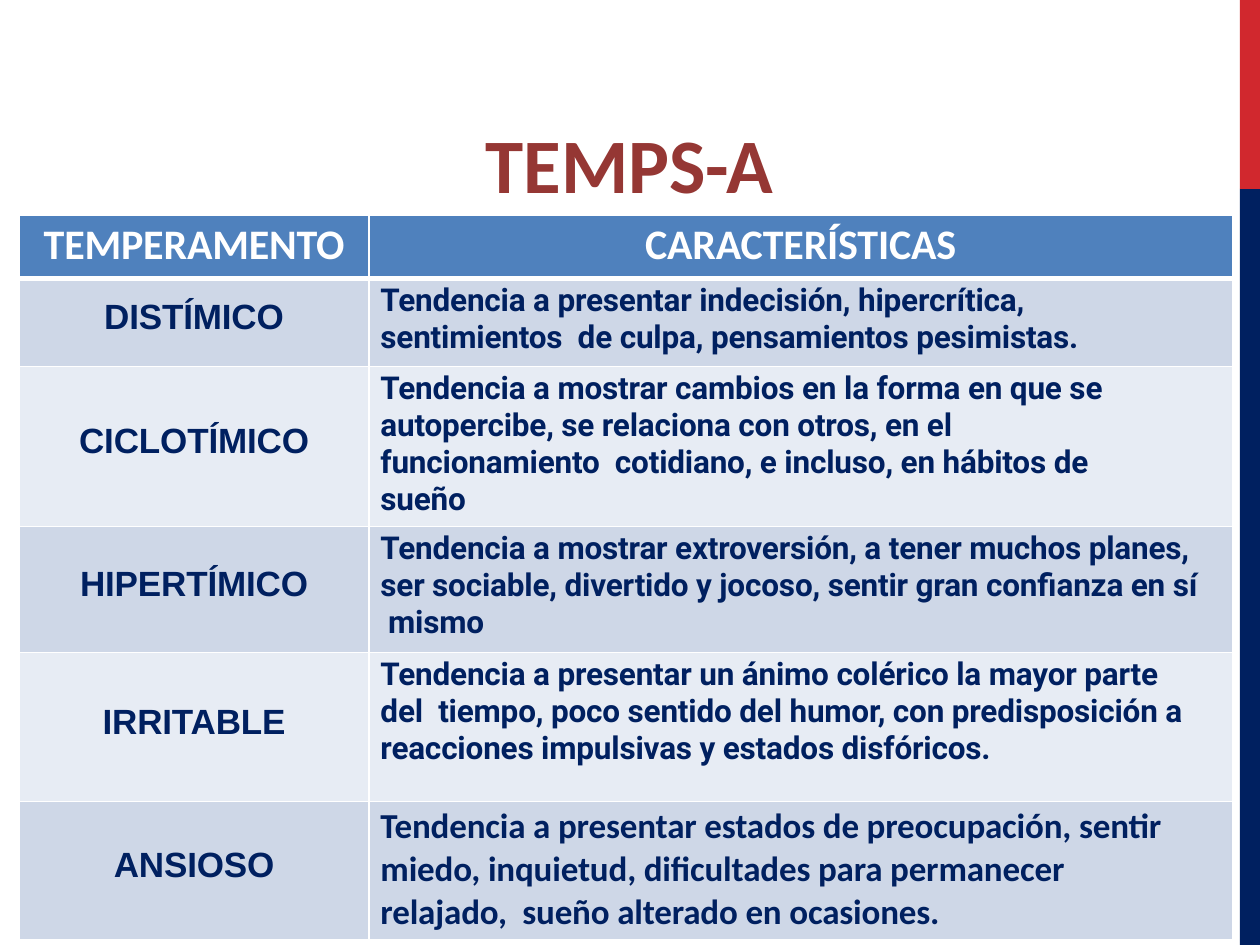
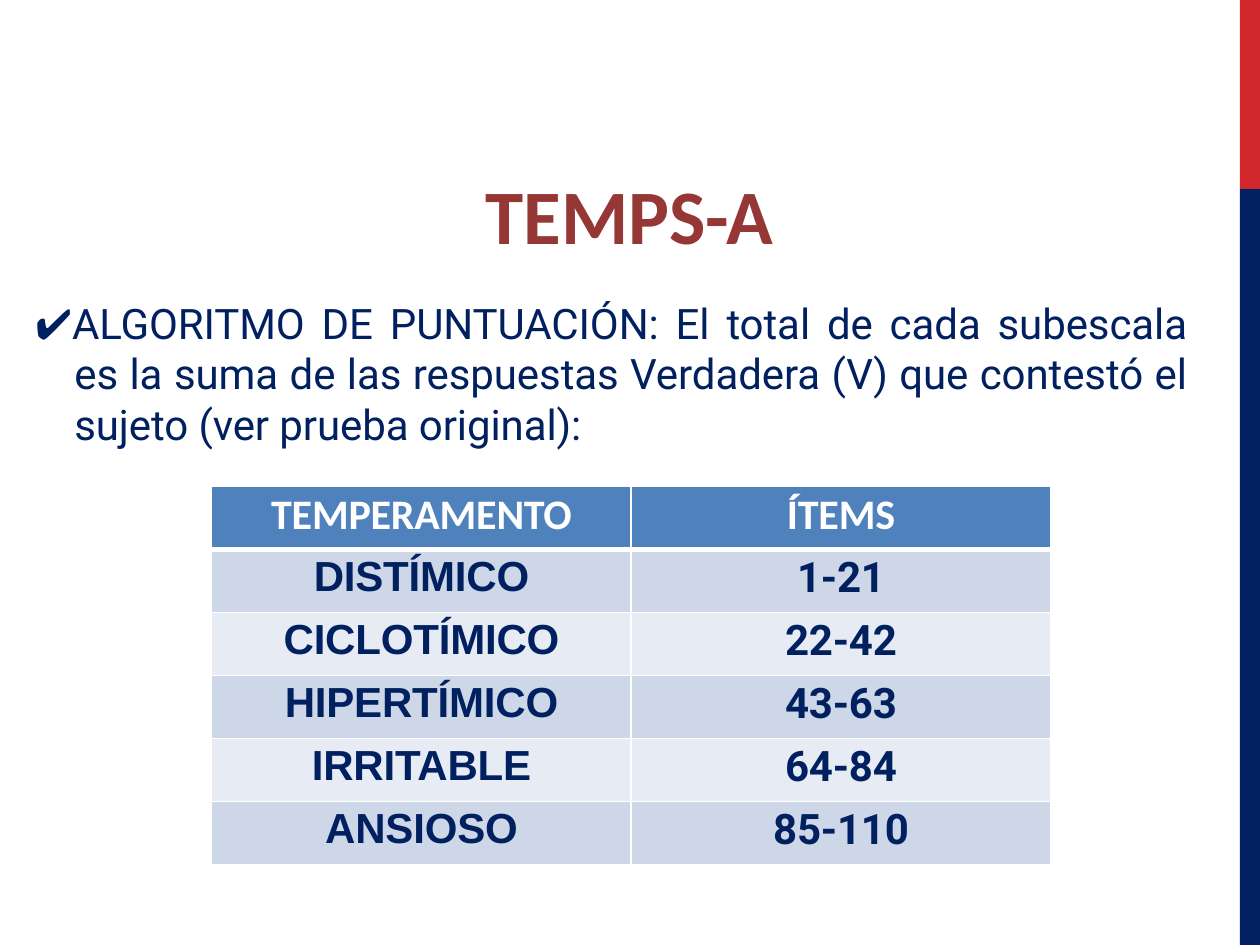
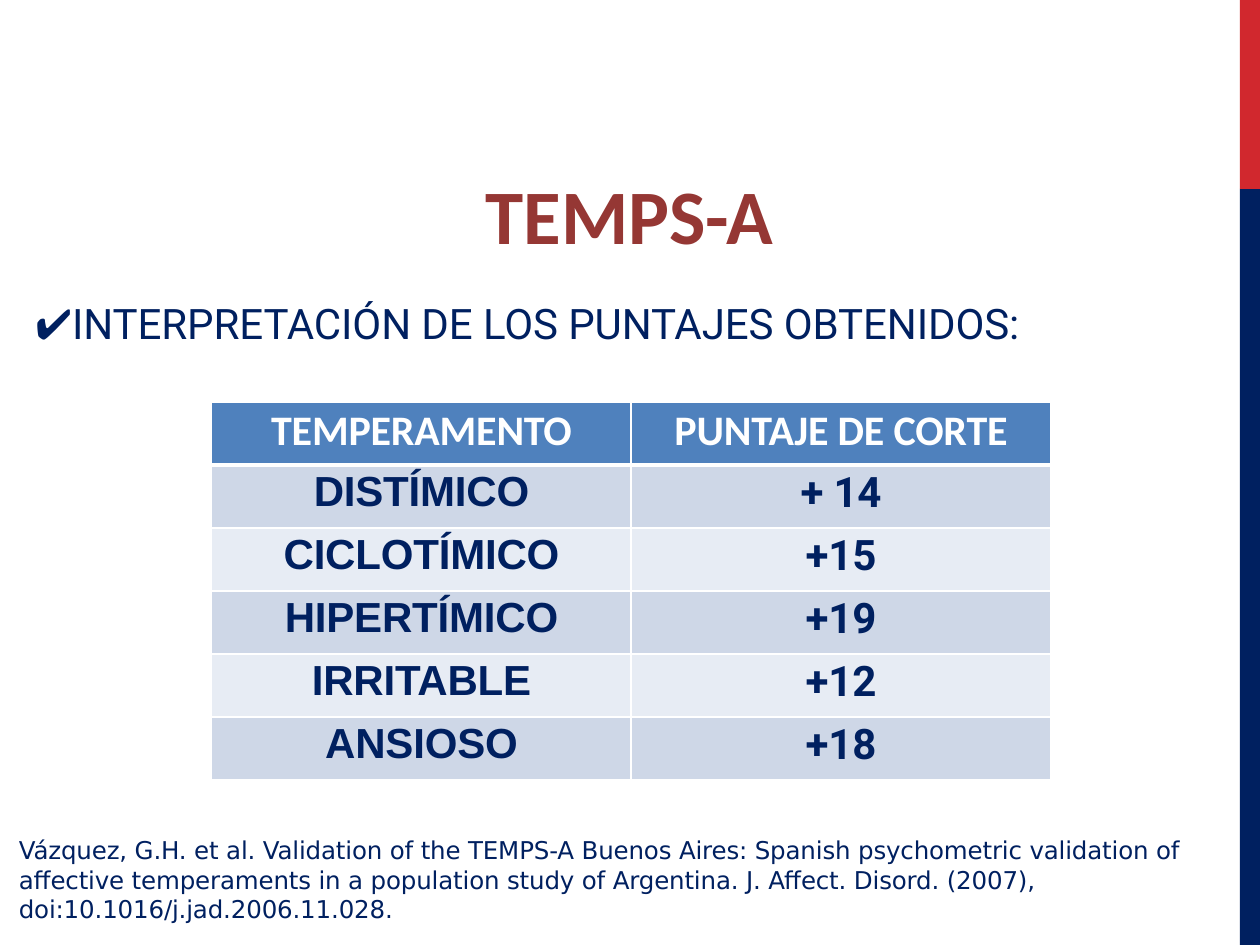
"""Builds three slides on the TEMPS-A temperament scale."""
from lxml import etree
from pptx import Presentation
from pptx.dml.color import RGBColor
from pptx.enum.shapes import MSO_SHAPE
from pptx.enum.text import MSO_ANCHOR, MSO_AUTO_SIZE, PP_ALIGN
from pptx.oxml.ns import qn
from pptx.util import Inches, Pt

RECTANGLE = MSO_SHAPE.RECTANGLE
TOP, MIDDLE, BOTTOM = MSO_ANCHOR.TOP, MSO_ANCHOR.MIDDLE, MSO_ANCHOR.BOTTOM
LEFT, CENTER, JUSTIFY = PP_ALIGN.LEFT, PP_ALIGN.CENTER, PP_ALIGN.JUSTIFY
NO_AUTOFIT = MSO_AUTO_SIZE.NONE

NAVY = RGBColor(0x00, 0x20, 0x60)
RED = RGBColor(0xD1, 0x28, 0x2E)
MAROON = RGBColor(0x95, 0x37, 0x34)
WHITE = RGBColor(0xFF, 0xFF, 0xFF)
HEADER_BLUE = RGBColor(0x4F, 0x81, 0xBD)
ROW_FILLS = (RGBColor(0xCE, 0xD7, 0xE7), RGBColor(0xE7, 0xEC, 0xF4))

TITLE = "TEMPS-A"
BANDS = [(0, 1.5, RED), (1.5, 6, NAVY)]
TEMPERAMENTS = ["DISTÍMICO", "CICLOTÍMICO", "HIPERTÍMICO", "IRRITABLE", "ANSIOSO"]

TRAITS = [
    "Tendencia a presentar indecisión, hipercrítica, sentimientos  de culpa, "
    "pensamientos pesimistas.",
    "Tendencia a mostrar cambios en la forma en que se autopercibe, se relaciona con "
    "otros, en el funcionamiento  cotidiano, e incluso, en hábitos de sueño",
    "Tendencia a mostrar extroversión, a tener muchos planes, ser sociable, divertido "
    "y jocoso, sentir gran confianza en sí  mismo",
    "Tendencia a presentar un ánimo colérico la mayor parte del  tiempo, poco sentido "
    "del humor, con predisposición a reacciones impulsivas y estados disfóricos.",
    "Tendencia a presentar estados de preocupación, sentir miedo, inquietud, "
    "dificultades para permanecer relajado,  sueño alterado en ocasiones.",
]
TRAIT_FONTS = [("Roboto", 18)] * 4 + [("Calibri", 20)]
TRAIT_RIGHT_MARGINS = [0.3, 0.6, 0.25, 0.25, 0.4]
TRAIT_ROW_HEIGHTS = [0.5, 0.7, 1.27, 1, 1.18, 1.1]

ITEMS = ["1-21", "22-42", "43-63", "64-84", "85-110"]
CUTOFFS = ["+ 14", "+15", "+19", "+12", "+18"]
SCORING = ("ALGORITMO DE PUNTUACIÓN: El total de cada subescala es la suma de las "
           "respuestas Verdadera (V) que contestó el sujeto (ver prueba original):")
INTERPRETATION = "INTERPRETACIÓN DE LOS PUNTAJES OBTENIDOS:"
REFERENCE = ("Vázquez, G.H. et al. Validation of the TEMPS-A Buenos Aires: Spanish "
             "psychometric validation of affective temperaments in a population study "
             "of Argentina. J. Affect. Disord. (2007), doi:10.1016/j.jad.2006.11.028.")


def style_paragraph(paragraph, font, size, color, bold=False, align=LEFT, before=1):
    paragraph.alignment = align
    paragraph.space_before = Pt(before)
    paragraph.font.name = font
    paragraph.font.size = Pt(size)
    paragraph.font.color.rgb = color
    paragraph.font.bold = bold
    for run in paragraph.runs:
        run.font._element.set("spc", "-10")


def set_margins(holder, left=0, top=0.01, right=0, bottom=0):
    holder.margin_left, holder.margin_top = Inches(left), Inches(top)
    holder.margin_right, holder.margin_bottom = Inches(right), Inches(bottom)


def add_bands(master, slide):
    for top, height, color in BANDS:
        band = slide.shapes.add_shape(
            RECTANGLE, Inches(9.84), Inches(top), Inches(0.16), Inches(height))
        band.shadow.inherit = False
        band.fill.solid()
        band.fill.fore_color.rgb = color
        band.line.fill.background()
        master.shapes.element.insert(2, band.element)


def add_slide(prs, title_top):
    slide = prs.slides.add_slide(prs.slide_layouts[5])
    title = slide.shapes.title
    title.left, title.top = Inches(3.83), Inches(title_top)
    title.width, title.height = Inches(2.33), Inches(0.76)
    frame = title.text_frame
    frame.text = TITLE
    frame.auto_size = NO_AUTOFIT
    frame.word_wrap = False
    frame.vertical_anchor = BOTTOM
    set_margins(frame)
    style_paragraph(frame.paragraphs[0], "Calibri", 44, MAROON, True, CENTER)
    return slide


def add_text(slide, box, text, font, size, align=LEFT):
    frame = slide.shapes.add_textbox(*map(Inches, box)).text_frame
    frame.word_wrap = True
    set_margins(frame)
    paragraph = frame.paragraphs[0]
    paragraph.add_run().text = text
    style_paragraph(paragraph, font, size, NAVY, align=align)
    return paragraph


def add_checked_text(slide, width, height, text, align=LEFT):
    paragraph = add_text(slide, (0.27, 2.35, width, height), "✔", "Roboto", 24, align)
    paragraph.runs[0].font.name = "Karla"
    paragraph.add_run().text = text
    paragraph.runs[1].font._element.set("spc", "-6")
    properties = paragraph._p.get_or_add_pPr()
    properties.set("marL", str(Inches(0.32)))
    properties.set("indent", str(Inches(-0.31)))


def set_borders(cell, top, bottom):
    properties = cell._tc.get_or_add_tcPr()
    for side, width in (("L", 1), ("R", 1), ("T", top), ("B", bottom)):
        line = etree.SubElement(properties, qn(f"a:ln{side}"), w=str(Pt(width)))
        fill = etree.SubElement(line, qn("a:solidFill"))
        etree.SubElement(fill, qn("a:srgbClr"), val=str(WHITE))


def write_cell(cell, row, text, font, size, align=CENTER, anchor=TOP, before=2, **margins):
    set_borders(cell, 3 if row == 1 else 1, 3 if row == 0 else 1)
    cell.fill.solid()
    cell.fill.fore_color.rgb = ROW_FILLS[(row - 1) % 2] if row else HEADER_BLUE
    cell.text = text
    cell.vertical_anchor = anchor
    set_margins(cell, **{"top": 0.03, **margins})
    style_paragraph(cell.text_frame.paragraphs[0], font, size,
                    NAVY if row else WHITE, True, align, before)


def add_temperament_table(slide, left, top, widths, heights, heading, labels, values):
    table = slide.shapes.add_table(
        len(heights), len(widths), Inches(left), Inches(top),
        Inches(sum(widths)), Inches(sum(heights))).table
    for column, width in zip(table.columns, widths):
        column.width = Inches(width)
    for row, height in zip(table.rows, heights):
        row.height = Inches(height)
    header = [dict(text=text, font="Calibri", size=24) for text in ("TEMPERAMENTO", heading)]
    for row, pair in enumerate([header, *zip(labels, values)]):
        for column, content in enumerate(pair):
            write_cell(table.cell(row, column), row, **content)


def add_score_table(slide, top, heading, scores):
    labels = [dict(text=name, font="Arial", size=24) for name in TEMPERAMENTS]
    values = [dict(text=score, font="Roboto", size=24) for score in scores]
    add_temperament_table(slide, 1.68, top, [3.33] * 2, [0.5] * 6, heading, labels, values)


def main():
    prs = Presentation()
    prs.slide_width, prs.slide_height = Inches(10), Inches(7.5)

    traits_slide = add_slide(prs, 0.9)
    add_bands(prs.slide_master, traits_slide)
    labels = [dict(text=name, font="Arial", size=20, anchor=MIDDLE, before=0,
                   top=0, bottom=0.08) for name in TEMPERAMENTS]
    traits = [dict(text=text, font=font, size=size, align=LEFT, left=0.09, right=right)
              for text, (font, size), right in zip(TRAITS, TRAIT_FONTS, TRAIT_RIGHT_MARGINS)]
    add_temperament_table(traits_slide, 0.15, 1.71, [2.78, 6.85], TRAIT_ROW_HEIGHTS,
                          "CARACTERÍSTICAS", labels, traits)

    scoring_slide = add_slide(prs, 1.3)
    add_checked_text(scoring_slide, 9.15, 1.23, SCORING, JUSTIFY)
    add_score_table(scoring_slide, 3.86, "ÍTEMS", ITEMS)

    cutoff_slide = add_slide(prs, 1.3)
    add_checked_text(cutoff_slide, 8.52, 0.43, INTERPRETATION)
    add_score_table(cutoff_slide, 3.19, "PUNTAJE DE CORTE", CUTOFFS)
    add_text(cutoff_slide, (0.15, 6.62, 9.5, 0.73), REFERENCE, "DejaVu Sans", 14)

    prs.save("out.pptx")


if __name__ == "__main__":
    main()
